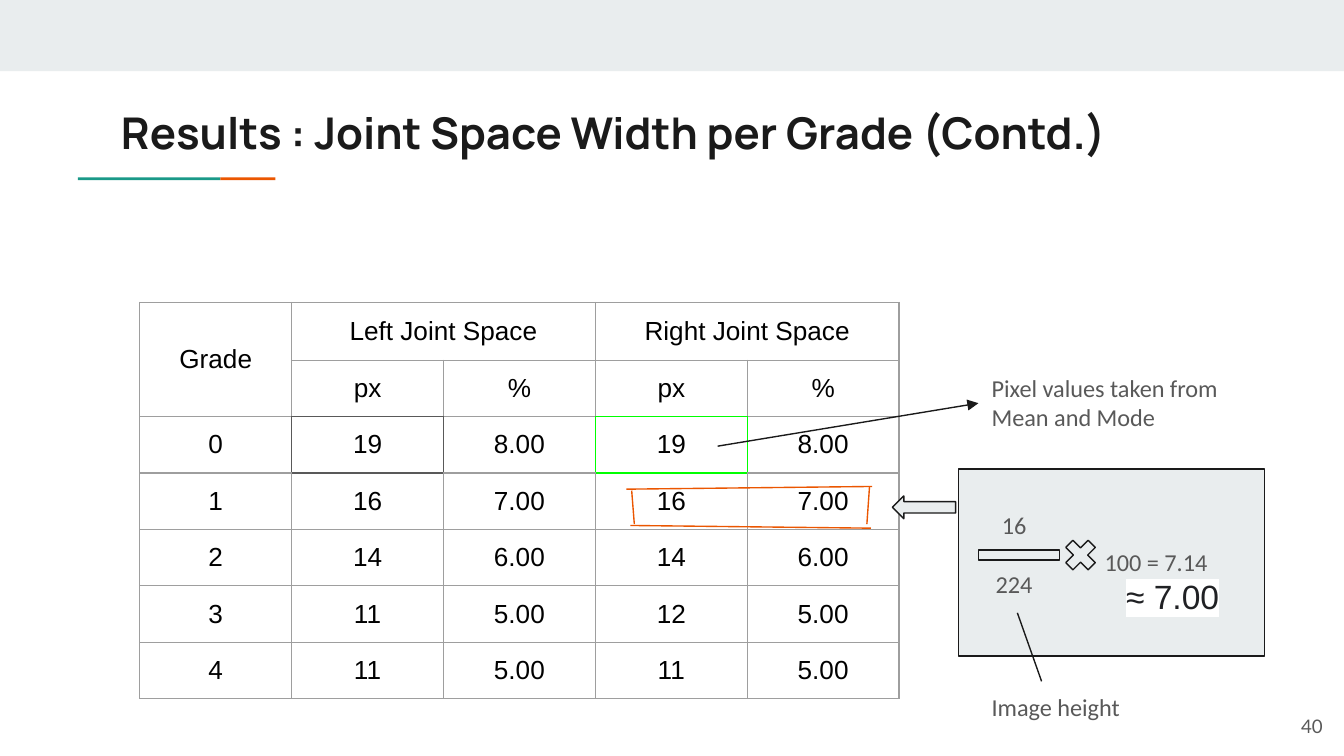
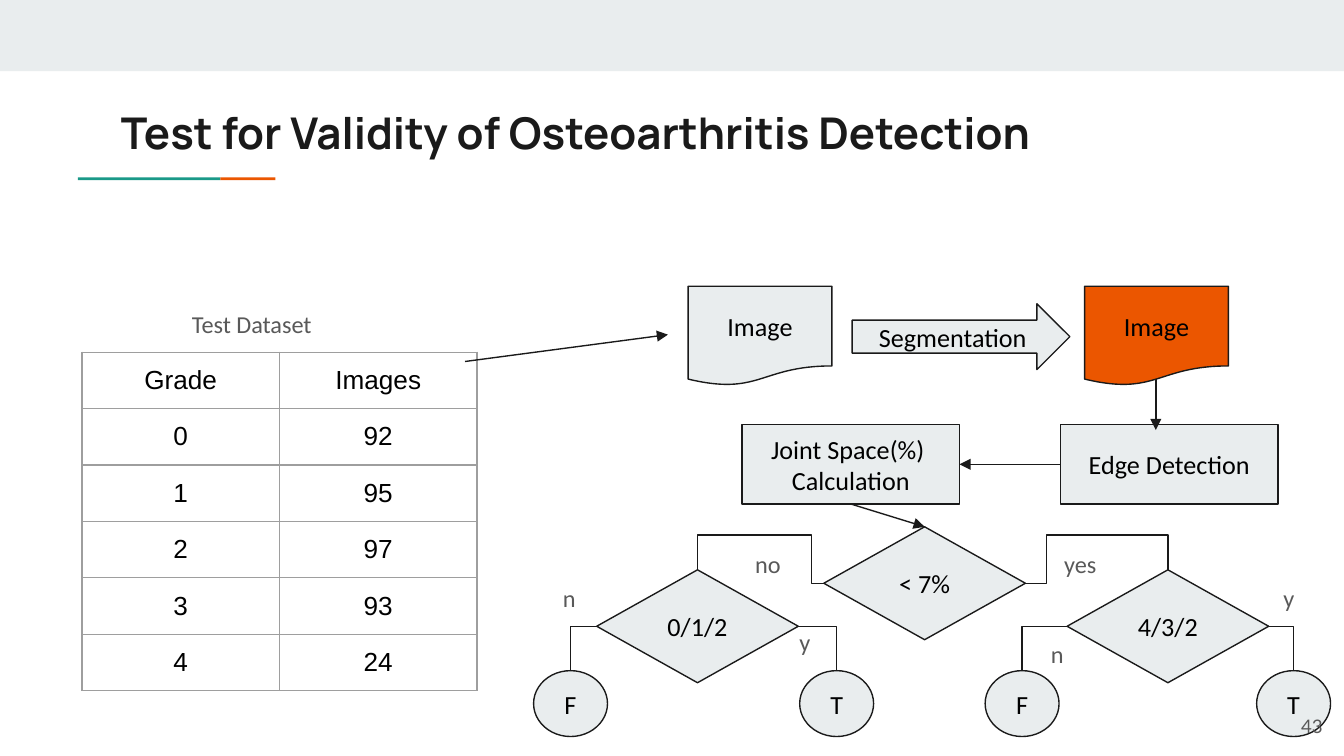
from pptx import Presentation
from pptx import util as u
from pptx.dml.color import RGBColor
from pptx.enum import shapes, text
from pptx.oxml import parse_xml
from pptx.oxml.ns import nsdecls, qn

C = {"band": "E9EDEE", "orange": "EB5600", "teal": "1A9988", "ink": "1A1A1A",
     "grey": "595959", "grid": "9E9E9E", "green": "00FF00", "black": "000000",
     "answer": "202124", "white": "FFFFFF"}
SH = shapes.MSO_SHAPE
AL = text.PP_ALIGN
AN = text.MSO_ANCHOR
SIDES = {"lnL": (0, -1), "lnR": (0, 1), "lnT": (-1, 0), "lnB": (1, 0)}


def rgb(name):
    return RGBColor.from_string(C[name])


def element(xml):
    return parse_xml(xml.replace(">", " " + nsdecls("a") + ">", 1))


# --- basic parts ---
def frame(tf, anchor):
    tf.word_wrap = True
    tf.vertical_anchor = anchor
    tf.margin_left = tf.margin_right = tf.margin_top = tf.margin_bottom = u.Inches(0.1)


def add_run(p, words, size, font, color, bold=False):
    r = p.add_run()
    r.text = words
    r.font.size, r.font.name, r.font.bold = u.Pt(size), font, bold
    r.font.color.rgb = rgb(color)
    return r


def write(tf, lines, size, font, color, align=AL.LEFT, anchor=AN.TOP, bold=False):
    frame(tf, anchor)
    for i, line in enumerate(lines.split("\n")):
        p = tf.add_paragraph() if i else tf.paragraphs[0]
        p.alignment = align
        add_run(p, line, size, font, color, bold)


def add_label(s, x, y, w, h, lines, **kw):
    tf = s.shapes.add_textbox(*map(u.Inches, (x, y, w, h))).text_frame
    write(tf, lines, **{"size": 13, "font": "Calibri", "color": "grey", **kw})
    return tf


def add_box(s, kind, x, y, w, h, words="", fill="band", line="ink"):
    sp = s.shapes.add_shape(kind, *map(u.Inches, (x, y, w, h)))
    sp.shadow.inherit = False
    sp.fill.solid()
    sp.fill.fore_color.rgb = rgb(fill)
    if line:
        sp.line.color.rgb = rgb(line)
        sp.line.width = u.Pt(0.75)
    else:
        sp.line.fill.background()
    if words:
        write(sp.text_frame, words, 14, "Calibri", "black", AL.CENTER, AN.MIDDLE)
    return sp


def finish_line(c, color="ink", arrow=False):
    c.line.color.rgb = rgb(color)
    c.line.width = u.Pt(0.75)
    spPr = c._element.spPr
    if arrow:
        spPr.find(qn("a:ln")).append(element('<a:tailEnd type="triangle"></a:tailEnd>'))
    spPr.append(element("<a:effectLst></a:effectLst>"))


def add_line(s, x1, y1, x2, y2, **kw):
    c = s.shapes.add_connector(shapes.MSO_CONNECTOR.STRAIGHT,
                               *map(u.Inches, (x1, y1, x2, y2)))
    finish_line(c, **kw)


def join(s, start, site1, end, site2, bend=None, adj=(), **kw):
    """Connect two shapes; bend names an elbow preset."""
    kinds = shapes.MSO_CONNECTOR
    c = s.shapes.add_connector(kinds.ELBOW if bend else kinds.STRAIGHT, 0, 0, 0, 0)
    c.begin_connect(start, site1)
    c.end_connect(end, site2)
    if bend:
        geom = c._element.spPr.find(qn("a:prstGeom"))
        geom.set("prst", bend)
        guides = geom.get_or_add_avLst()
        for i, value in enumerate(adj, 1):
            guides.append(element(
                f'<a:gd name="adj{i}" fmla="val {round(value * 100000)}"></a:gd>'))
    finish_line(c, **kw)


# --- slide frame: band, title, accent rule ---
def new_slide(prs, title):
    s = prs.slides.add_slide(prs.slide_layouts[5])
    add_box(s, SH.RECTANGLE, 0, 0, 10, 0.53, line=None)
    add_box(s, SH.RECTANGLE, 0.58, 1.32, 1.06, 0.02, fill="teal", line=None)
    add_box(s, SH.RECTANGLE, 1.64, 1.32, 0.41, 0.02, fill="orange", line=None)
    t = s.shapes.title
    t.left, t.top, t.width, t.height = map(u.Inches, (0.8, 0.69, 8.41, 0.59))
    write(t.text_frame, title, 23.4, "Manrope", "ink", bold=True)
    return s


def add_number(s, number):
    add_label(s, 9.34, 5.19, 0.6, 0.43, number, size=10, font="Lato",
              align=AL.RIGHT, anchor=AN.MIDDLE)


# --- tables ---
def add_grid(s, x, y, col_w, rows, first_h=0.42, marks=None, merges=()):
    marks = marks or {}
    n_rows, n_cols = len(rows), len(rows[0])
    heights = [first_h] + [0.42] * (n_rows - 1)
    table = s.shapes.add_table(n_rows, n_cols, *map(
        u.Inches, (x, y, col_w * n_cols, sum(heights)))).table
    table.first_row = table.horz_banding = False
    for col in table.columns:
        col.width = u.Inches(col_w)
    for i, row in enumerate(rows):
        table.rows[i].height = u.Inches(heights[i])
        for j, words in enumerate(row):
            cell = table.cell(i, j)
            cell.margin_left = cell.margin_right = u.Inches(0.1)
            cell.margin_top = cell.margin_bottom = u.Inches(0.1)
            cell.vertical_anchor = AN.MIDDLE
            p = cell.text_frame.paragraphs[0]
            p.alignment = AL.CENTER
            if words:
                add_run(p, words, 14, "Arial", "black")
            cell.fill.background()
            # A marked cell colours its own edges and the touching ones
            tcPr = cell._tc.get_or_add_tcPr()
            for k, (side, (di, dj)) in enumerate(SIDES.items()):
                color = marks.get((i, j)) or marks.get((i + di, j + dj), "grid")
                tcPr.insert(k, element(
                    f'<a:{side} w="9525"><a:solidFill><a:srgbClr val="{C[color]}"/>'
                    f'</a:solidFill></a:{side}>'))
    for first, last in merges:
        table.cell(*first).merge(table.cell(*last))


# --- worked percentage ---
def add_calculation(s, x, y):
    add_box(s, SH.FLOWCHART_PROCESS, x, y, 2.28, 1.39)
    tf = add_label(s, x + 0.11, y + 0.21, 0.61, 0.86, "16\n224", align=AL.CENTER)
    tf.paragraphs[1].space_before = u.Pt(15.9)
    add_box(s, SH.MATH_MULTIPLY, x + 0.75, y + 0.48, 0.32, 0.32)
    add_box(s, SH.MATH_MINUS, x + 0.04, y + 0.48, 0.82, 0.32)
    tf = add_label(s, x + 0.99, y + 0.48, 1.19, 0.72, "100 = 7.14")
    p = tf.add_paragraph()
    p._p.get_or_add_pPr().set("marL", str(u.Inches(0.16)))
    r = add_run(p, "≈ 7.00", 18, "Arial", "answer")
    r._r.get_or_add_rPr().find(qn("a:solidFill")).addnext(element(
        f'<a:highlight><a:srgbClr val="{C["white"]}"/></a:highlight>'))
    add_box(s, SH.LEFT_ARROW, x - 0.49, y + 0.2, 0.47, 0.17)
    add_label(s, x + 0.15, y + 1.56, 1.62, 0.42, "Image height")
    add_line(s, x + 0.62, y + 1.58, x + 0.44, y + 1.07)


# --- hand-drawn outline around a table row ---
def add_row_outline(s, x, y):
    for x1, y1, x2, y2 in ((0, 0.02, 1.83, 0), (0.03, 0.29, 1.82, 0.31),
                           (0.04, 0.03, 0.06, 0.28), (1.81, 0, 1.79, 0.28)):
        add_line(s, x + x1, y + y1, x + x2, y + y2, color="orange")


# --- flowchart ---
def add_branch(s, x, y, words, outcomes):
    """Decision with F on the left and T on the right."""
    decision = add_box(s, SH.FLOWCHART_DECISION, x, y, 1.5, 0.84, words)
    for (outcome, answer, site), (dx, label_x, label_y) in zip(
            (("F", "n", 1), ("T", "y", 3)), outcomes):
        end = add_box(s, SH.FLOWCHART_CONNECTOR, x + dx, y + 0.75, 0.55, 0.49, outcome)
        join(s, decision, site, end, 0, bend="bentConnector2")
        add_label(s, x + label_x, y + label_y, 0.4, 0.42, answer)
    return decision


def add_flowchart(s, x, y):
    add_box(s, SH.FLOWCHART_DOCUMENT, x + 1.15, y, 1.07, 0.74, "Image")
    add_box(s, SH.FLOWCHART_DOCUMENT, x + 4.1, y, 1.07, 0.74, "Image", fill="orange")
    add_box(s, SH.RIGHT_ARROW, x + 2.37, y + 0.13, 1.62, 0.49, "Segmentation")
    edge = add_box(s, SH.FLOWCHART_PROCESS, x + 3.92, y + 1.03, 1.62, 0.59,
                   "Edge Detection")
    joint = add_box(s, SH.FLOWCHART_PROCESS, x + 1.55, y + 1.03, 1.62, 0.59,
                    "Joint Space(%) \nCalculation")
    limit = add_box(s, SH.FLOWCHART_DECISION, x + 2.16, y + 1.79, 1.5, 0.84, "< 7%")
    high = add_branch(s, x + 3.97, y + 2.11, "4/3/2",
                      ((-0.61, -0.22, 0.42), (1.41, 1.51, 0)))
    low = add_branch(s, x + 0.47, y + 2.11, "0/1/2",
                     ((-0.47, -0.35, 0), (1.51, 1.41, 0.33)))
    add_line(s, x + 4.63, y + 0.69, x + 4.63, y + 1.07, arrow=True)
    join(s, edge, 1, joint, 3, arrow=True)
    join(s, joint, 2, limit, 0, arrow=True)
    join(s, limit, 3, high, 0, bend="bentConnector4", adj=(0.15, 3.6))
    join(s, limit, 1, low, 0, bend="bentConnector4", adj=(0.1, 3.6))
    add_label(s, x + 3.85, y + 1.86, 0.55, 0.42, "yes")
    add_label(s, x + 1.55, y + 1.86, 0.55, 0.42, "no")


# --- slides ---
def joint_space_slide(prs):
    s = new_slide(prs, "Results : Joint Space Width per Grade (Contd.)")
    rows = [["Grade", "Left Joint Space", "", "Right Joint Space", ""],
            ["", "px", "%", "px", "%"],
            ["0", "19", "8.00", "19", "8.00"],
            ["1", "16", "7.00", "16", "7.00"],
            ["2", "14", "6.00", "14", "6.00"],
            ["3", "11", "5.00", "12", "5.00"],
            ["4", "11", "5.00", "11", "5.00"]]
    add_grid(s, 1.04, 2.25, 1.13, rows, first_h=0.43,
             marks={(2, 1): "grey", (2, 3): "green"},
             merges=(((0, 0), (1, 0)), ((0, 1), (0, 2)), ((0, 3), (0, 4))))
    add_label(s, 7.28, 2.68, 2.28, 0.64, "Pixel values taken from\nMean and Mode")
    add_calculation(s, 7.13, 3.49)
    add_row_outline(s, 4.66, 3.62)
    add_line(s, 5.34, 3.32, 7.28, 3, arrow=True)
    add_number(s, "40")


def validity_slide(prs):
    s = new_slide(prs, "Test for Validity of Osteoarthritis Detection")
    rows = [["Grade", "Images"], ["0", "92"], ["1", "95"], ["2", "97"],
            ["3", "93"], ["4", "24"]]
    add_grid(s, 0.61, 2.62, 1.47, rows)
    add_label(s, 1.33, 2.2, 1.6, 0.42, "Test Dataset")
    add_line(s, 3.46, 2.69, 4.97, 2.49, arrow=True)
    add_flowchart(s, 3.97, 2.13)
    add_number(s, "43")


def main():
    prs = Presentation()
    # A 16:9 page
    prs.slide_width = u.Inches(10)
    prs.slide_height = u.Inches(10 * 9 / 16)
    joint_space_slide(prs)
    validity_slide(prs)
    prs.save("out.pptx")


if __name__ == "__main__":
    main()
